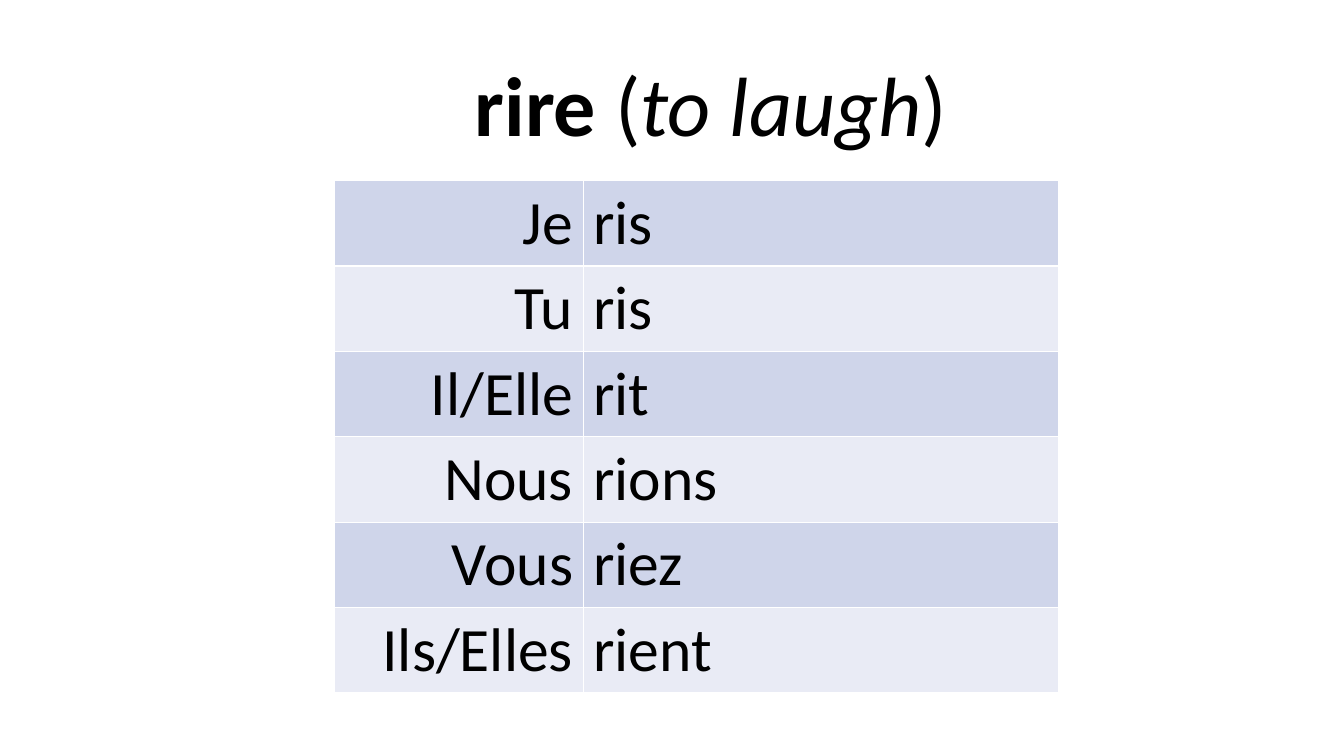
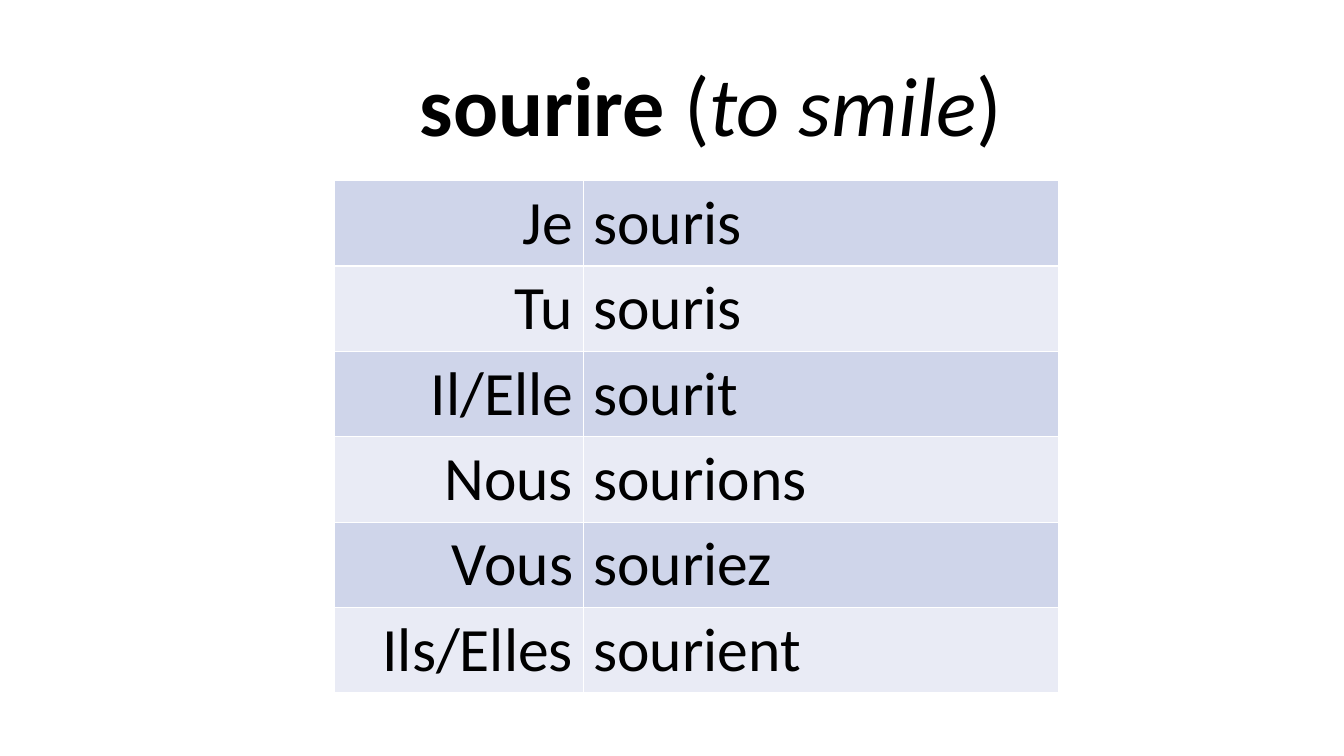
from dataclasses import dataclass

import lxml.etree
import pptx
import pptx.dml.color
import pptx.enum.text
import pptx.oxml.ns
import pptx.util

Cm = pptx.util.Cm
Pt = pptx.util.Pt
RGBColor = pptx.dml.color.RGBColor
Align = pptx.enum.text.PP_ALIGN


@dataclass(frozen=True)
class Theme:
    font: str = "Calibri"
    text: str = "000000"
    border: str = "FFFFFF"
    bands: tuple = ("CFD5EA", "E9EBF5")
    title_size: int = 60
    cell_size: int = 44
    border_width: int = 1


class VerbDeck:
    TITLE_ONLY = 5

    def __init__(self, theme):
        self.theme = theme
        self.presentation = pptx.Presentation()
        self.presentation.slide_width = Cm(33.87)
        self.presentation.slide_height = Cm(19.05)
        self.slide = None

    def add_slide(self):
        layout = self.presentation.slide_layouts[self.TITLE_ONLY]
        self.slide = self.presentation.slides.add_slide(layout)

    def style_paragraph(self, paragraph, size, alignment):
        paragraph.alignment = alignment
        paragraph.font.name = self.theme.font
        paragraph.font.size = Pt(size)
        paragraph.font.color.rgb = RGBColor.from_string(self.theme.text)

    def add_title(self, verb, meaning):
        title = self.slide.shapes.title
        title.left, title.top = Cm(4.24), Cm(1.12)
        title.width, title.height = Cm(27.36), Cm(2.9)
        frame = title.text_frame
        frame.word_wrap = True
        frame.auto_size = pptx.enum.text.MSO_AUTO_SIZE.NONE
        frame.vertical_anchor = pptx.enum.text.MSO_ANCHOR.BOTTOM
        paragraph = frame.paragraphs[0]
        paragraph.line_spacing = 0.9
        self.style_paragraph(paragraph, self.theme.title_size, Align.CENTER)
        for text, bold, italic in (
            (verb, True, False),
            (" (", False, False),
            (meaning, False, True),
            (")", False, False),
        ):
            run = paragraph.add_run()
            run.text = text
            run.font.bold = bold
            run.font.italic = italic

    def add_borders(self, cell):
        qualified = pptx.oxml.ns.qn
        properties = cell._tc.get_or_add_tcPr()
        for side in ("L", "R", "T", "B"):
            line = lxml.etree.SubElement(properties, qualified(f"a:ln{side}"))
            line.set("w", str(Pt(self.theme.border_width)))
            fill = lxml.etree.SubElement(line, qualified("a:solidFill"))
            color = lxml.etree.SubElement(fill, qualified("a:srgbClr"))
            color.set("val", self.theme.border)

    def add_conjugation(self, rows):
        widths = (Cm(6.27), Cm(11.99))
        row_height = Cm(2.15)
        table = self.slide.shapes.add_table(
            len(rows), len(widths), Cm(8.43), Cm(4.55),
            sum(widths), row_height * len(rows),
        ).table
        table.first_row = False
        table.horz_banding = False
        for column, width in zip(table.columns, widths):
            column.width = width
        for index, texts in enumerate(rows):
            table.rows[index].height = row_height
            band = self.theme.bands[index % len(self.theme.bands)]
            for column, alignment in enumerate((Align.RIGHT, Align.LEFT)):
                cell = table.cell(index, column)
                self.add_borders(cell)
                cell.fill.solid()
                cell.fill.fore_color.rgb = RGBColor.from_string(band)
                cell.text = texts[column]
                self.style_paragraph(
                    cell.text_frame.paragraphs[0], self.theme.cell_size, alignment
                )


PRONOUNS = ("Je", "Tu", "Il/Elle", "Nous", "Vous", "Ils/Elles")
ENDINGS = ("s", "s", "t", "ons", "ez", "ent")
VERBS = (("rire", "to laugh", "ri"), ("sourire", "to smile", "souri"))


def main():
    deck = VerbDeck(Theme())
    for verb, meaning, stem in VERBS:
        deck.add_slide()
        deck.add_title(verb, meaning)
        deck.add_conjugation(
            [(pronoun, stem + ending) for pronoun, ending in zip(PRONOUNS, ENDINGS)]
        )
    deck.presentation.save("out.pptx")


if __name__ == "__main__":
    main()
